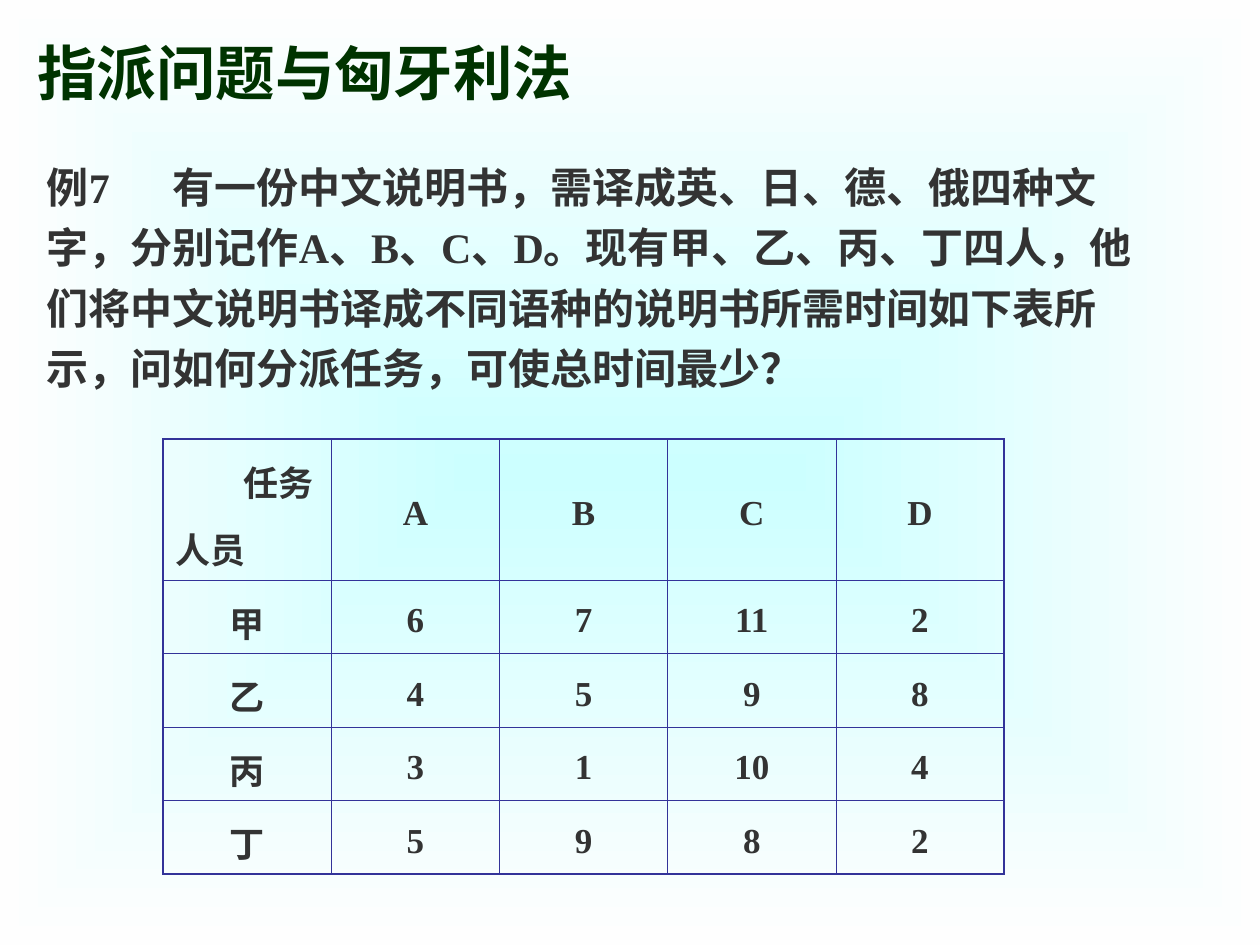
from lxml.etree import SubElement
from pptx import Presentation
from pptx.dml.color import RGBColor
from pptx.enum.text import MSO_ANCHOR as ANCHOR, MSO_AUTO_SIZE as AUTO, PP_ALIGN as ALIGN
from pptx.oxml.ns import qn
from pptx.util import Cm, Pt

FONT = "Times New Roman"
GREEN = RGBColor(0x00, 0x33, 0x00)
GREY = RGBColor(0x33, 0x33, 0x33)
BLUE = RGBColor(0x33, 0x33, 0x99)
CYAN = RGBColor(0xCC, 0xFF, 0xFF)
WHITE = RGBColor(0xFE, 0xFE, 0xFE)


def write(tf, *lines, size, color=GREY, aligns=(ALIGN.LEFT,), spacing=None, before=0):
    """Fill a text frame with one paragraph per line, each with its own alignment."""
    for i, (line, align) in enumerate(zip(lines, aligns)):
        p = tf.paragraphs[0] if i == 0 else tf.add_paragraph()
        p.alignment = align
        p.line_spacing = spacing
        p.space_before = Pt(before)
        r = p.add_run()
        r.text = line
        r.font.name = FONT
        r.font.size = Pt(size)
        r.font.bold = True
        r.font.color.rgb = color


def set_borders(cell, widths):
    tc_pr = cell._tc.get_or_add_tcPr()
    for side, width in zip("LRTB", widths):
        ln = SubElement(tc_pr, qn(f"a:ln{side}"), w=str(Pt(width)))
        fill = SubElement(ln, qn("a:solidFill"))
        SubElement(fill, qn("a:srgbClr"), val=str(BLUE))


prs = Presentation()
prs.slide_width, prs.slide_height = Cm(25.4), Cm(19.05)
s = prs.slides.add_slide(prs.slide_layouts[1])

# Background: gradient spreading from the centre
bg = s.background.fill
bg.gradient()
for stop, color in zip(bg.gradient_stops, (CYAN, WHITE)):
    stop.color.rgb = color
grad = s.element.find(".//" + qn("a:gradFill"))
grad.remove(grad.find(qn("a:lin")))
rect = SubElement(grad, qn("a:path"), path="rect")
SubElement(rect, qn("a:fillToRect"), l="50000", t="50000", r="50000", b="50000")

# Title
title = s.shapes.title
title.left, title.top, title.width, title.height = Cm(0.5), Cm(0.31), Cm(20.4), Cm(1.98)
tf = title.text_frame
tf.auto_size = AUTO.NONE
tf.vertical_anchor = ANCHOR.BOTTOM
write(tf, "指派问题与匈牙利法", size=34, color=GREEN)

# Problem statement: a tab stop sets the gap after the example number
body = s.placeholders[1]
body.left, body.top, body.width, body.height = Cm(0.69), Cm(2.92), Cm(23.01), Cm(5.38)
tf = body.text_frame
tf.auto_size = AUTO.NONE
write(
    tf,
    "例7\t有一份中文说明书，需译成英、日、德、俄四种文字，分别记作A、B、C、D。"
    "现有甲、乙、丙、丁四人，他们将中文说明书译成不同语种的说明书所需时间如下表所示，"
    "问如何分派任务，可使总时间最少？",
    size=24, spacing=1.2, before=4.5,
)
p_pr = tf.paragraphs[0]._p.get_or_add_pPr()
for name in ("marL", "indent", "hangingPunct"):
    p_pr.set(name, "0")
SubElement(p_pr, qn("a:buNone"))
tabs = SubElement(p_pr, qn("a:tabLst"))
SubElement(tabs, qn("a:tab"), pos=str(Cm(2.32)), algn="l")

# Time table: people by tasks
ROWS = [
    ["任务\n人员", "A", "B", "C", "D"],
    ["甲", "6", "7", "11", "2"],
    ["乙", "4", "5", "9", "8"],
    ["丙", "3", "1", "10", "4"],
    ["丁", "5", "9", "8", "2"],
]
THIN, THICK = 0.45, 1.08
last = len(ROWS) - 1
table = s.shapes.add_table(5, 5, Cm(3.29), Cm(8.85), Cm(16.94), Cm(7.49)).table
table.first_row = table.horz_banding = False
for col in table.columns:
    col.width = Cm(3.39)
for i, row in enumerate(ROWS):
    table.rows[i].height = Cm(1.27 if i else 2.41)
    for j, text in enumerate(row):
        cell = table.cell(i, j)
        edges = (j == 0, j == last, i == 0, i == last)
        set_borders(cell, [THICK if edge else THIN for edge in edges])
        cell.fill.background()
        cell.vertical_anchor = ANCHOR.MIDDLE
        lines = text.split("\n")
        aligns = (ALIGN.RIGHT, ALIGN.LEFT) if len(lines) > 1 else (ALIGN.CENTER,)
        write(cell.text_frame, *lines, size=20, aligns=aligns, spacing=1.2, before=3.7)
table.cell(0, 0).margin_right = Cm(0.35)

prs.save("out.pptx")
